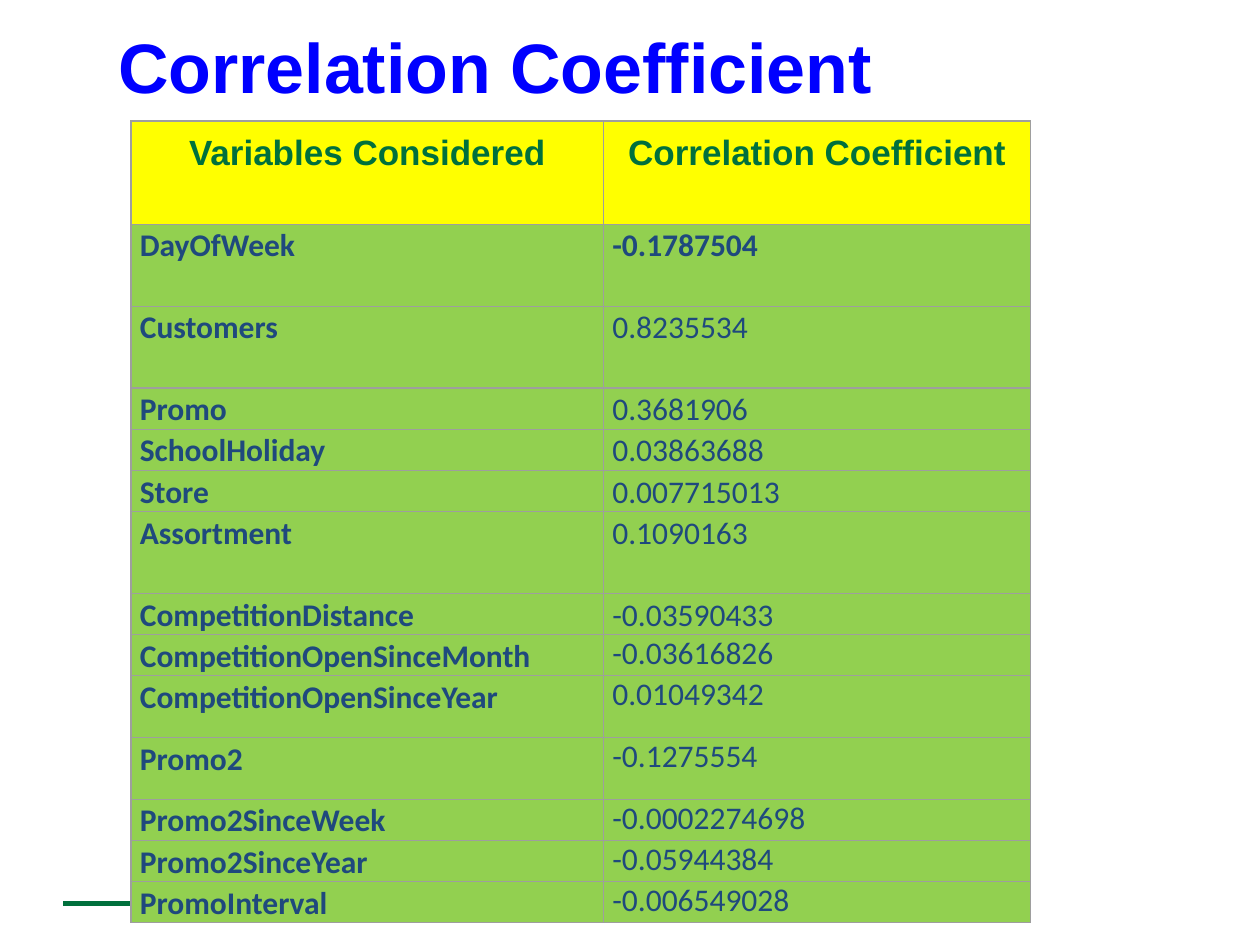
from typing import NamedTuple

from lxml.etree import SubElement
from pptx import Presentation
from pptx.dml.color import RGBColor
from pptx.enum.shapes import MSO_CONNECTOR
from pptx.enum.text import PP_ALIGN
from pptx.oxml.ns import qn
from pptx.util import Inches, Pt

COLORS = {
    "title": "0000FF",
    "green": "00703C",
    "header": "FFFF00",
    "body": "92D050",
    "text": "1F497D",
    "border": "9E9E9E",
}
SINGLE, MEDIUM, DOUBLE, HEADER = 0.32, 0.49, 0.65, 0.82  # row heights
COLUMNS = (3.75, 3.39)
LINE_SPACING = 1.07


class Row(NamedTuple):
    variable: str
    coefficient: str
    height: float = SINGLE
    value_spacing: float = 1.0
    value_bold: bool = False


class CellStyle(NamedTuple):
    fill: str
    color: str
    font: str
    size: int
    margin_x: float
    margin_y: float
    align: PP_ALIGN


HEADER_STYLE = CellStyle("header", "green", "Arial", 20, 0.1, 0.1, PP_ALIGN.CENTER)
BODY_STYLE = CellStyle("body", "text", "Calibri", 18, 0.07, 0, PP_ALIGN.LEFT)

ROWS = [
    Row("DayOfWeek", "-0.1787504", DOUBLE, LINE_SPACING, True),
    Row("Customers", "0.8235534", DOUBLE, LINE_SPACING),
    Row("Promo", "0.3681906", SINGLE, LINE_SPACING),
    Row("SchoolHoliday", "0.03863688", SINGLE, LINE_SPACING),
    Row("Store", "0.007715013", SINGLE, LINE_SPACING),
    Row("Assortment", "0.1090163", DOUBLE, LINE_SPACING),
    Row("CompetitionDistance", "-0.03590433", SINGLE, LINE_SPACING),
    Row("CompetitionOpenSinceMonth", "-0.03616826"),
    Row("CompetitionOpenSinceYear", "0.01049342", MEDIUM),
    Row("Promo2", "-0.1275554", MEDIUM),
    Row("Promo2SinceWeek", "-0.0002274698"),
    Row("Promo2SinceYear", "-0.05944384"),
    Row("PromoInterval", "-0.006549028"),
]


def rgb(name: str) -> RGBColor:
    return RGBColor.from_string(COLORS[name])


def set_font(paragraph, name: str, size: int, color: str, bold: bool) -> None:
    font = paragraph.font
    font.name, font.size, font.bold = name, Pt(size), bold
    font.color.rgb = rgb(color)


def add_borders(cell) -> None:
    properties = cell._tc.get_or_add_tcPr()
    for index, side in enumerate(("a:lnL", "a:lnR", "a:lnT", "a:lnB")):
        line = SubElement(properties, qn(side), w=str(Pt(0.75)))
        fill = SubElement(line, qn("a:solidFill"))
        SubElement(fill, qn("a:srgbClr"), val=COLORS["border"])
        properties.insert(index, line)  # borders come before the fill


def fill_cell(cell, text: str, style: CellStyle, bold: bool = True,
              spacing: float = 1.0) -> None:
    cell.text = text
    cell.margin_left = cell.margin_right = Inches(style.margin_x)
    cell.margin_top = cell.margin_bottom = Inches(style.margin_y)
    cell.fill.solid()
    cell.fill.fore_color.rgb = rgb(style.fill)
    paragraph = cell.text_frame.paragraphs[0]
    paragraph.alignment = style.align
    paragraph.line_spacing = spacing
    set_font(paragraph, style.font, style.size, style.color, bold)
    add_borders(cell)


def add_footer_line(slide) -> None:
    line = slide.shapes.add_connector(
        MSO_CONNECTOR.STRAIGHT, Inches(0.5), Inches(7.17), Inches(7.67), Inches(7.17))
    line.line.color.rgb = rgb("green")
    line.line.width = Pt(2.5)
    SubElement(line._element.spPr, qn("a:effectLst"))


def add_coefficient_table(slide) -> None:
    heights = [HEADER] + [row.height for row in ROWS]
    table = slide.shapes.add_table(
        len(heights), len(COLUMNS), Inches(1.04), Inches(0.96),
        Inches(sum(COLUMNS)), Inches(sum(heights))).table
    table.horz_banding = False
    for column, width in zip(table.columns, COLUMNS):
        column.width = Inches(width)
    for table_row, height in zip(table.rows, heights):
        table_row.height = Inches(height)

    for index, heading in enumerate(("Variables Considered", "Correlation Coefficient")):
        fill_cell(table.cell(0, index), heading, HEADER_STYLE)
    for index, row in enumerate(ROWS, start=1):
        fill_cell(table.cell(index, 0), row.variable, BODY_STYLE, spacing=LINE_SPACING)
        fill_cell(table.cell(index, 1), row.coefficient, BODY_STYLE,
                  row.value_bold, row.value_spacing)


def add_title(slide) -> None:
    title = slide.shapes.add_textbox(Inches(0.84), Inches(0.14), Inches(6.94), Inches(0.77))
    title.text_frame.word_wrap = True
    paragraph = title.text_frame.paragraphs[0]
    paragraph.text = "Correlation Coefficient"
    set_font(paragraph, "Arial", 40, "title", True)


def main() -> None:
    presentation = Presentation()
    presentation.slide_width, presentation.slide_height = Inches(10), Inches(7.5)
    slide = presentation.slides.add_slide(presentation.slide_layouts[6])
    add_footer_line(slide)
    add_coefficient_table(slide)
    add_title(slide)
    presentation.save("out.pptx")


if __name__ == "__main__":
    main()
